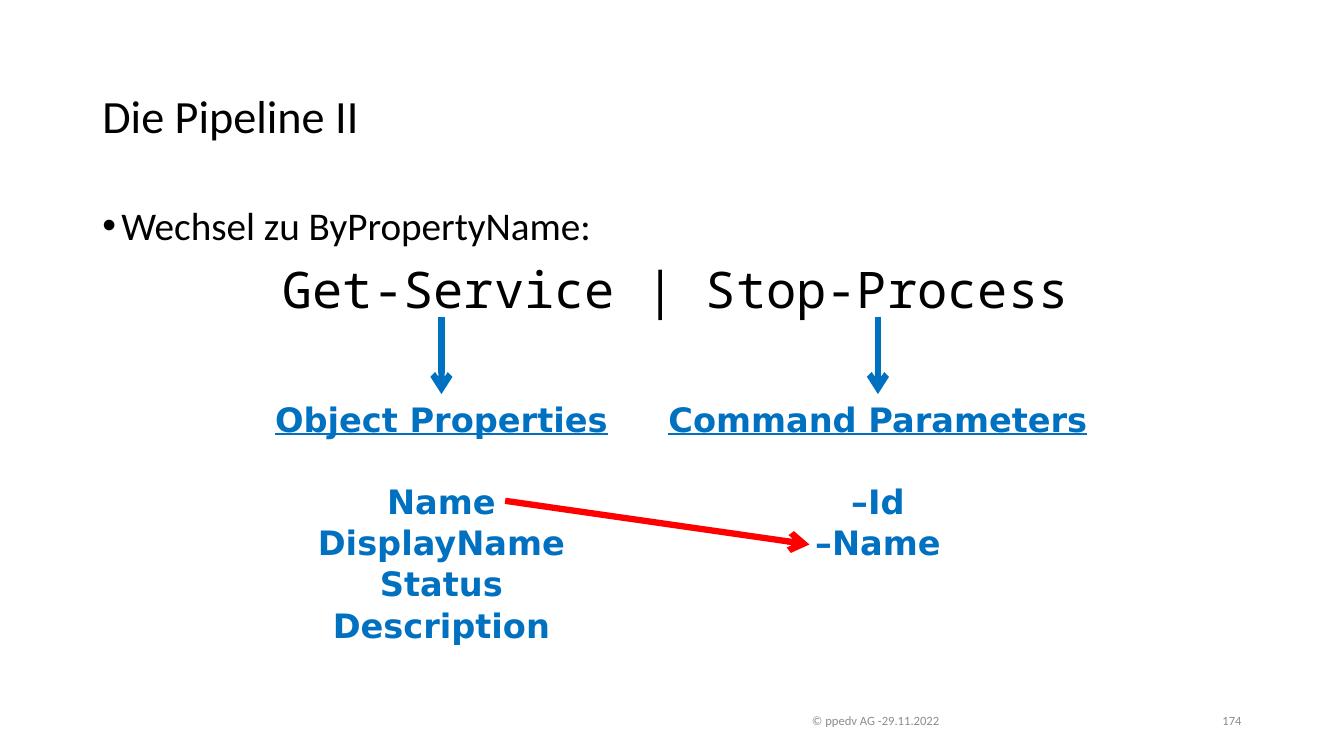
from lxml import etree
from pptx import Presentation
from pptx.dml.color import RGBColor
from pptx.enum.shapes import MSO_CONNECTOR as Connector
from pptx.enum.text import MSO_ANCHOR as Anchor, PP_ALIGN as Align
from pptx.oxml.ns import qn
from pptx.util import Cm, Pt

BLACK = RGBColor(0x00, 0x00, 0x00)
GREY = RGBColor(0x8C, 0x8C, 0x8C)
BLUE = RGBColor(0x00, 0x70, 0xC0)
RED = RGBColor(0xFF, 0x00, 0x00)

MARGIN, CONTENT_WIDTH = 2.33, 29.21
FOOTER_TOP, FOOTER_HEIGHT = 17.65, 1.02
ARROW_TOP, LIST_TOP = 7.98, 9.93


def write(paragraph, text, font="Calibri", size=28, color=BLACK, bold=False,
          underline=False, align=Align.LEFT, spacing=None, before=0):
    paragraph.alignment = align
    paragraph.line_spacing = spacing
    paragraph.space_before = Pt(before)
    run = paragraph.add_run()
    run.text = text
    run.font.name = font
    run.font.size = Pt(size)
    run.font.color.rgb = color
    run.font.bold = bold
    run.font.underline = underline


def add_bullet(paragraph, indent):
    properties = paragraph._p.get_or_add_pPr()
    properties.set("marL", str(Cm(indent)))
    properties.set("indent", str(-Cm(indent)))
    etree.SubElement(properties, qn("a:buFont"), typeface="Arial")
    etree.SubElement(properties, qn("a:buChar"), char="•")


class PipelineSlide:
    def __init__(self, deck):
        self.shapes = deck.slides.add_slide(deck.slide_layouts[6]).shapes

    def frame(self, left, top, width, height, anchor=Anchor.TOP):
        """Add an empty wrapping text box and return its text frame."""
        box = self.shapes.add_textbox(Cm(left), Cm(top), Cm(width), Cm(height))
        box.text_frame.word_wrap = True
        box.text_frame.vertical_anchor = anchor
        return box.text_frame

    def text(self, text, left, top, width, height, anchor=Anchor.TOP, **style):
        write(self.frame(left, top, width, height, anchor).paragraphs[0],
              text, **style)

    def bullet(self, text, left, top, width, height):
        point = self.frame(left, top, width, height).paragraphs[0]
        add_bullet(point, 0.48)
        write(point, text, spacing=0.9)

    def footer(self, text, left, width):
        self.text(text, left, FOOTER_TOP, width, FOOTER_HEIGHT, Anchor.MIDDLE,
                  size=9, color=GREY, align=Align.RIGHT)

    def member_list(self, heading, members, left, width, height):
        """Write an underlined heading with its members, and an arrow to it."""
        style = dict(font="DejaVu Sans", size=24, color=BLUE, bold=True,
                     align=Align.CENTER)
        frame = self.frame(left, LIST_TOP, width, height)
        write(frame.paragraphs[0], heading, underline=True, **style)
        for index, member in enumerate(members):
            write(frame.add_paragraph(), member,
                  before=0.8 if index else 29.4, **style)
        center = left + width / 2
        self.arrow((center, ARROW_TOP), (center, LIST_TOP), BLUE)

    def arrow(self, start, end, color):
        arrow = self.shapes.add_connector(
            Connector.STRAIGHT, *(Cm(value) for value in start + end))
        arrow.line.color.rgb = color
        arrow.line.width = Pt(4.5)
        etree.SubElement(arrow.line._get_or_add_ln(), qn("a:tailEnd"),
                         type="arrow")
        etree.SubElement(arrow._element.spPr, qn("a:effectLst"))


def main():
    deck = Presentation()
    deck.slide_width, deck.slide_height = Cm(33.87), Cm(19.05)
    slide = PipelineSlide(deck)

    slide.text("Die Pipeline II", MARGIN, 1.27, CONTENT_WIDTH, 3.43,
               Anchor.MIDDLE, size=33, spacing=0.9)
    slide.bullet("Wechsel zu ByPropertyName:", MARGIN, 5.08,
                 CONTENT_WIDTH, 12.09)
    slide.text("Get-Service | Stop-Process", 5.75, 6.38, 22.55, 12.67,
               font="Noto Sans Mono", size=36, align=Align.CENTER)

    slide.member_list("Object Properties",
                      ["Name", "DisplayName", "Status", "Description"],
                      left=6.12, width=10.01, height=6.4)
    slide.member_list("Command Parameters", ["–Id", "–Name"],
                      left=16.13, width=11.99, height=4.37)
    slide.arrow((12.73, 12.62), (20.4, 13.72), RED)

    slide.footer("© ppedv AG -29.11.2022", MARGIN, 21.59)
    slide.footer("174", 23.92, 7.62)
    deck.save("out.pptx")


if __name__ == "__main__":
    main()
